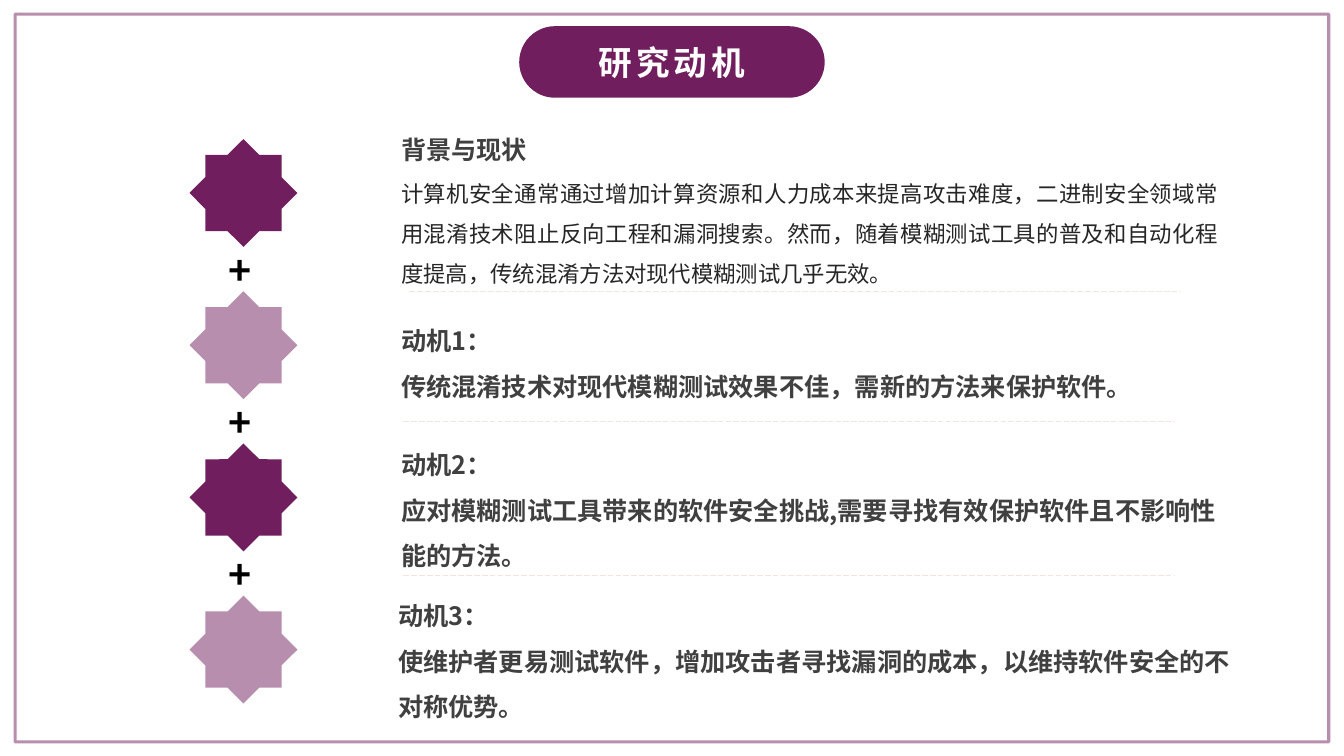
from dataclasses import dataclass

from lxml.etree import SubElement as Sub
from pptx import Presentation
from pptx.dml.color import RGBColor
from pptx.enum.dml import MSO_LINE as Dash
from pptx.enum.shapes import MSO_CONNECTOR as Conn, MSO_SHAPE as Kind
from pptx.enum.text import MSO_ANCHOR as Anchor, MSO_AUTO_SIZE as Fit, PP_ALIGN as Align
from pptx.oxml.ns import qn
from pptx.util import Inches, Pt

FONT = "Noto Sans CJK SC"
PLUM, MAUVE, GREY = "701E5E", "B78EAE", "404040"


@dataclass
class Style:
    size: int
    color: str
    bold: bool = True
    align: Align | None = None
    lead: float | None = None
    track: int = 0


@dataclass
class Block:
    left: float
    top: float
    width: float
    height: float
    lines: list[str]
    style: Style
    wrap: bool = True
    inset: float = 0.05


def rgb(code: str) -> RGBColor:
    return RGBColor.from_string(code)


def write(frame, lines: list[str], style: Style) -> None:
    frame.text = "\n".join(lines)
    for para in frame.paragraphs:
        para.alignment = style.align
        para.line_spacing = style.lead
        font = para.font
        font.name, font.size, font.bold = FONT, Pt(style.size), style.bold
        font.color.rgb = rgb(style.color)
        props = para._p.pPr.find(qn("a:defRPr"))
        if style.track:
            props.set("spc", str(style.track * 100))
        Sub(props, qn("a:ea")).set("typeface", FONT)


def add_block(shapes, block: Block) -> None:
    box = shapes.add_textbox(Inches(block.left), Inches(block.top),
                             Inches(block.width), Inches(block.height))
    frame = box.text_frame
    frame.word_wrap = block.wrap
    frame.auto_size = Fit.SHAPE_TO_FIT_TEXT
    frame.margin_top = frame.margin_bottom = Inches(block.inset)
    write(frame, block.lines, block.style)


def add_form(shapes, kind: Kind, left: float, top: float, width: float,
             height: float, fill: str | None = None, adj: float | None = None):
    form = shapes.add_shape(kind, Inches(left), Inches(top), Inches(width), Inches(height))
    form.shadow.inherit = False
    if fill:
        form.fill.solid()
        form.fill.fore_color.rgb = rgb(fill)
        form.line.fill.background()
    else:
        form.fill.background()
    if adj is not None:
        form.adjustments[0] = adj
    return form


def add_rule(shapes, left: float, top: float, width: float) -> None:
    rule = shapes.add_connector(Conn.STRAIGHT, Inches(left), Inches(top),
                                Inches(left + width), Inches(top))
    rule.line.color.rgb = rgb("EFE6E1")
    rule.line.width = Pt(0.5)
    rule.line.dash_style = Dash.LONG_DASH
    Sub(rule._element.spPr, qn("a:effectLst"))


TITLE = Style(24, "FFFFFF", align=Align.CENTER, track=3)
HEAD = Style(18, GREY)
BODY = Style(16, "262626", bold=False, align=Align.JUSTIFY, lead=1.5)
POINT = Style(18, GREY, lead=1.5)
PLUS = Style(28, "000000")

BLOCKS = [
    Block(3.88, 1.28, 2.68, 0.4, ["背景与现状"], HEAD),
    Block(3.88, 1.61, 8.31, 1.25, [
        "计算机安全通常通过增加计算资源和人力成本来提高攻击难度，二进制安全领域常"
        "用混淆技术阻止反向工程和漏洞搜索。然而，随着模糊测试工具的普及和自动化程"
        "度提高，传统混淆方法对现代模糊测试几乎无效。"], BODY, inset=0.04),
    Block(3.88, 3.03, 9.36, 0.96, [
        "动机1：", "传统混淆技术对现代模糊测试效果不佳，需新的方法来保护软件。"], POINT),
    Block(3.88, 4.26, 8.4, 1.41, [
        "动机2：",
        "应对模糊测试工具带来的软件安全挑战,需要寻找有效保护软件且不影响性能的方法。"], POINT),
    Block(3.85, 5.76, 8.45, 1.41, [
        "动机3：",
        "使维护者更易测试软件，增加攻击者寻找漏洞的成本，以维持软件安全的不对称优势。"], POINT),
]
RULES = [(4.06, 2.89), (4, 4.18), (4, 5.71)]
STEP = 1.51


def main() -> None:
    deck = Presentation()
    deck.slide_width, deck.slide_height = Inches(13.33), Inches(7.5)
    shapes = deck.slides.add_slide(deck.slide_layouts[6]).shapes

    # Border, half transparent
    border = add_form(shapes, Kind.RECTANGLE, 0.15, 0.14, 13.03, 7.22)
    border.line.color.rgb = rgb(PLUM)
    border.line.width = Pt(2.25)
    tint = border.line._ln.find(".//" + qn("a:srgbClr"))
    Sub(tint, qn("a:alpha")).set("val", "50000")

    # Title pill
    pill = add_form(shapes, Kind.ROUNDED_RECTANGLE, 5.15, 0.26, 3.03, 0.71, PLUM, 0.5)
    pill.text_frame.vertical_anchor = Anchor.MIDDLE
    write(pill.text_frame, ["研究动机"], TITLE)

    # Background and motives
    for block in BLOCKS:
        add_block(shapes, block)

    # Column of stars with plus signs between
    for i in range(4):
        add_form(shapes, Kind.STAR_8_POINT, 1.88, 1.38 + i * STEP, 1.07, 1.07,
                 (PLUM, MAUVE)[i % 2], 0.383)
    for i in range(3):
        add_block(shapes, Block(2.17, 2.39 + i * STEP, 0.5, 0.57, ["+"], PLUS, wrap=False))

    # Dashed rules
    for left, top in RULES:
        add_rule(shapes, left, top, 7.64)

    deck.save("out.pptx")


if __name__ == "__main__":
    main()
